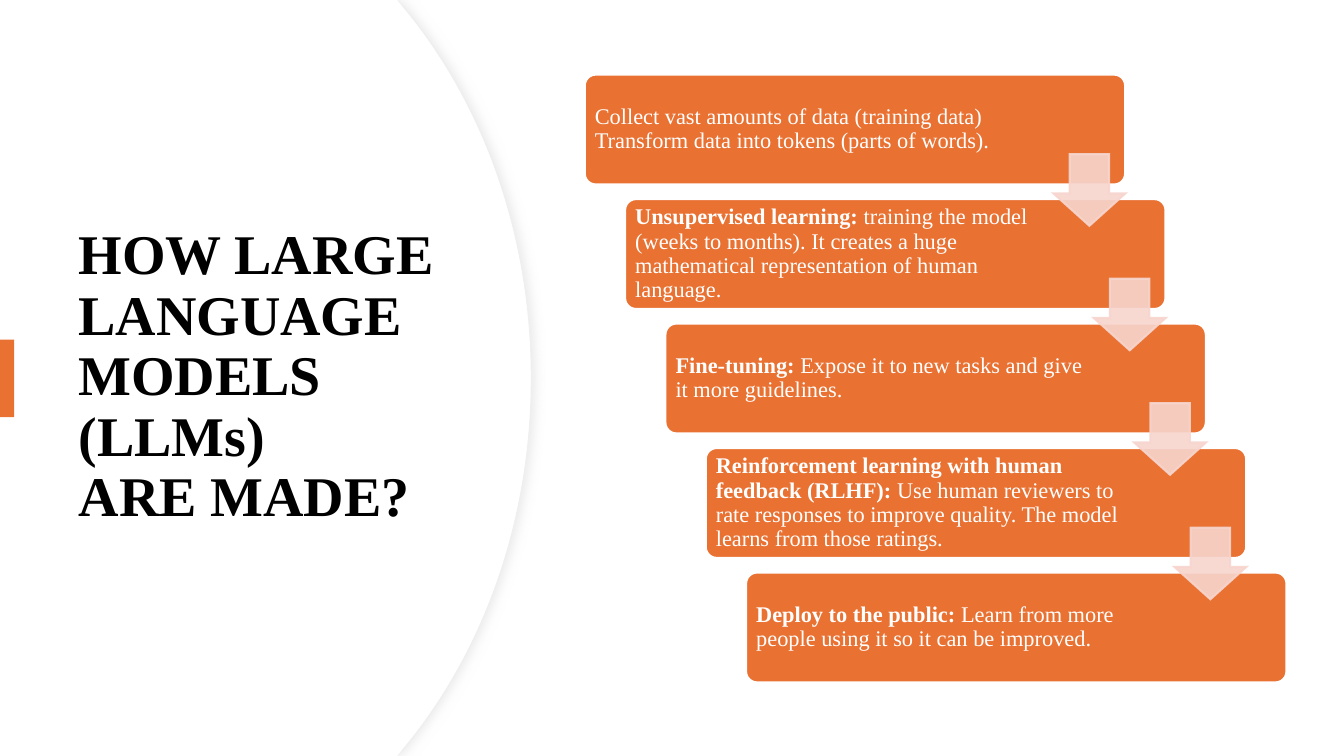
from lxml.etree import SubElement
from pptx import Presentation
from pptx.dml.color import RGBColor
from pptx.enum.shapes import MSO_SHAPE as Preset
from pptx.enum.text import MSO_ANCHOR as Anchor, MSO_AUTO_SIZE as AutoSize, PP_ALIGN as Align
from pptx.oxml.ns import qn
from pptx.util import Inches, Pt

WIDTH, HEIGHT = Inches(13.33), Inches(7.5)
COLUMN = Inches(0.4)
ROW = Inches(4.94 / 4)
STEP_LEFT, STEP_TOP = Inches(5.8), Inches(0.74)
STEP_WIDTH, STEP_HEIGHT = Inches(5.36), Inches(1.09)
ARROW_LEFT, ARROW_TOP, ARROW_SIZE = Inches(10.45), Inches(1.53), Inches(0.71)
EDGE = Inches(0.03)
INSET = Inches(0.07)

FONT = "Times New Roman"
WHITE = RGBColor(0xFF, 0xFF, 0xFF)
BLACK = RGBColor(0, 0, 0)
ORANGE = RGBColor(0xE9, 0x71, 0x32)
PINK = RGBColor(0xF7, 0xD5, 0xCE)
PALE_GRAY = RGBColor(0xEF, 0xEF, 0xEF)
SHADOW_GRAY = RGBColor(0xD9, 0xD9, 0xD9)

HARD_SPACE = chr(160)
TITLE = f"HOW LARGE LANGUAGE MODELS (LLMs) ARE{HARD_SPACE}MADE?"
STEPS = [
    ("", "Collect vast amounts of data (training data) "
         "Transform data into tokens (parts of words)."),
    ("Unsupervised learning:", " training the model (weeks to months). It creates a huge "
                               "mathematical representation of human language."),
    ("Fine-tuning:", " Expose it to new tasks and give it more guidelines."),
    ("Reinforcement learning with human feedback (RLHF):",
     " Use human reviewers to rate responses to improve quality. "
     "The model learns from those ratings."),
    (f"Deploy to the public:{HARD_SPACE}",
     "Learn from more people using it so it can be improved."),
]


def write_text(shape, text, lead="", size=16, color=WHITE, bold=False, inset=INSET, space_after=0):
    frame = shape.text_frame
    frame.word_wrap = True
    frame.auto_size = AutoSize.NONE
    frame.vertical_anchor = Anchor.MIDDLE
    frame.margin_left = frame.margin_right = inset
    frame.margin_top = frame.margin_bottom = INSET
    paragraph = frame.paragraphs[0]
    paragraph.alignment = Align.LEFT
    paragraph.line_spacing = 0.9
    paragraph.space_before = Pt(0)
    paragraph.space_after = Pt(space_after)
    for words, heavy in ((lead, True), (text, bold)):
        if words:
            run = paragraph.add_run()
            run.text = words
            run.font.name = FONT
            run.font.size = Pt(size)
            run.font.bold = heavy
            run.font.color.rgb = color


def paint(shape, fill, line=None, line_width=1.5):
    shape.shadow.inherit = False
    shape.fill.solid()
    shape.fill.fore_color.rgb = fill
    if line is None:
        shape.line.fill.background()
    else:
        shape.line.color.rgb = line
        shape.line.width = Pt(line_width)
        SubElement(shape._element.spPr.find(qn("a:ln")), qn("a:miter"), lim="800000")


def add_preset(slide, preset, box, fill, line=None, adjustments=()):
    shape = slide.shapes.add_shape(preset, *box)
    paint(shape, fill, line)
    for index, value in enumerate(adjustments):
        shape.adjustments[index] = value
    return shape


def set_opacity(shape, percent):
    for color in shape._element.spPr.iter(qn("a:srgbClr")):
        SubElement(color, qn("a:alpha"), val=str(percent * 1000))


def add_soft_shadow(shape):
    effects = shape._element.spPr.find(qn("a:effectLst"))
    shadow = SubElement(effects, qn("a:outerShdw"), blurRad=str(Pt(7)), dist=str(Pt(3)),
                        dir="0", algn="l", rotWithShape="0")
    color = SubElement(shadow, qn("a:srgbClr"), val=str(SHADOW_GRAY))
    SubElement(color, qn("a:alpha"), val="50000")


def bend(lines):
    curve = lines[0].makeelement(qn("a:cubicBezTo"))
    lines[0].addprevious(curve)
    for line in lines:
        curve.append(line[0])
        line.getparent().remove(line)


def add_curved_panel(slide, reach, line=None):
    upper = [(3.94, 0), (reach - 1.26, 0.08), (reach - 0.48, 1.02), (reach, 2.32)]
    lower = [(x, 7.5 - y) for x, y in reversed(upper)]
    points = upper + [(reach, 3.75)] + lower + [(0, 7.5)]
    builder = slide.shapes.build_freeform(0, 0)
    builder.add_line_segments([(Inches(x), Inches(y)) for x, y in points], close=True)
    panel = builder.convert_to_shape()
    lines = list(panel._element.spPr.iter(qn("a:lnTo")))
    bend(lines[2:5])
    bend(lines[5:8])
    paint(panel, WHITE, line, 0.75)
    return panel


def add_title(slide):
    title = slide.shapes.title
    title.left, title.top, title.width, title.height = map(Inches, (0.68, 1.27, 3.94, 4.95))
    write_text(title, TITLE, size=40, color=BLACK, bold=True, inset=Inches(0.1))
    title._element.getparent().append(title._element)


def add_step(slide, index, lead, text):
    left, top = STEP_LEFT + index * COLUMN, STEP_TOP + int(index * ROW)
    add_preset(slide, Preset.ROUNDED_RECTANGLE, (left, top, STEP_WIDTH, STEP_HEIGHT),
               ORANGE, WHITE, (0.1,))
    label_width = Inches(4.19 if lead else 4.06)
    label = slide.shapes.add_textbox(left + EDGE, top + EDGE, label_width, STEP_HEIGHT - 2 * EDGE)
    write_text(label, text, lead=lead, space_after=5.6)


def add_down_arrow(slide, index):
    box = (ARROW_LEFT + index * COLUMN, ARROW_TOP + int(index * ROW), ARROW_SIZE, ARROW_SIZE)
    arrow = add_preset(slide, Preset.DOWN_ARROW, box, PINK, PINK, (0.55, 0.45))
    set_opacity(arrow, 90)


def main():
    presentation = Presentation()
    presentation.slide_width, presentation.slide_height = WIDTH, HEIGHT
    slide = presentation.slides.add_slide(presentation.slide_layouts[5])
    add_soft_shadow(add_curved_panel(slide, 5.27, PALE_GRAY))
    add_curved_panel(slide, 5.26)
    add_title(slide)
    add_preset(slide, Preset.RECTANGLE, (0, Inches(3.37), Inches(0.14), Inches(0.77)), ORANGE)
    for index, (lead, text) in enumerate(STEPS):
        add_step(slide, index, lead, text)
    for index in range(len(STEPS) - 1):
        add_down_arrow(slide, index)
    presentation.save("out.pptx")


if __name__ == "__main__":
    main()
